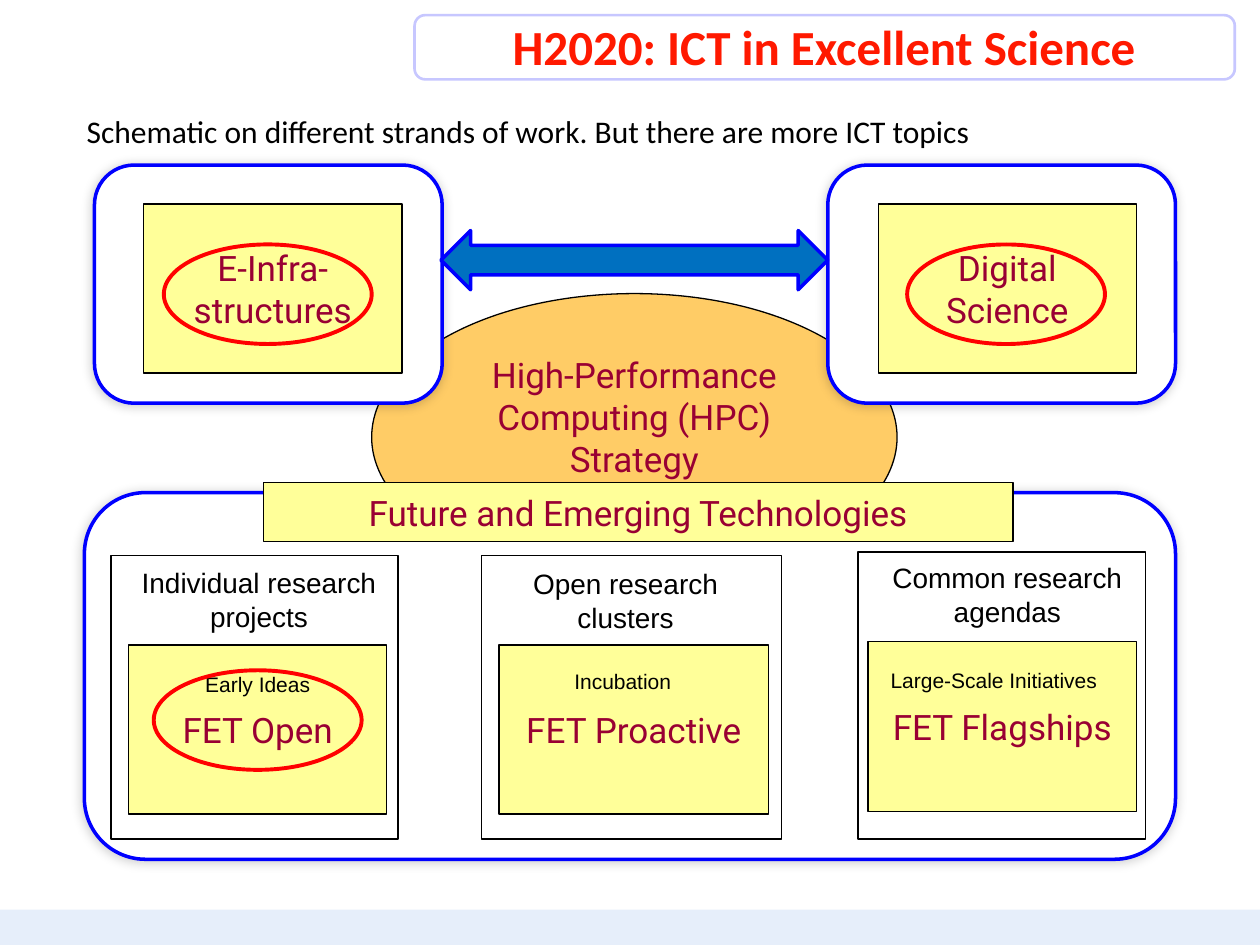
from lxml import etree
from pptx import Presentation
from pptx.dml.color import RGBColor
from pptx.enum.shapes import MSO_SHAPE
from pptx.enum.text import MSO_ANCHOR, PP_ALIGN
from pptx.oxml.ns import qn
from pptx.util import Inches, Pt

RECT = MSO_SHAPE.RECTANGLE
ROUNDED = MSO_SHAPE.ROUNDED_RECTANGLE
OVAL = MSO_SHAPE.OVAL
DOUBLE_ARROW = MSO_SHAPE.LEFT_RIGHT_ARROW
TOP, MIDDLE = MSO_ANCHOR.TOP, MSO_ANCHOR.MIDDLE
LEFT, CENTER = PP_ALIGN.LEFT, PP_ALIGN.CENTER

BLACK, WHITE, BLUE, RED = "000000", "FFFFFF", "0000FF", "FF0000"
YELLOW, MAROON, ACCENT = "FFFF99", "990033", "FF1900"

PANELS = [(0.67, 3.91, 8.66, 2.91), (6.57, 1.31, 2.76, 1.89), (0.75, 1.31, 2.76, 1.89)]
TOPICS = [(1.14, "E-Infra-\nstructures"), (6.97, "Digital\nScience")]
COLUMNS = [
    {"frame": (0.88, 4.41, 2.28, 2.25), "card": (1.02, 5.12, 2.05, 1.34), "name": "FET Open",
     "heading": (0.93, 4.44, 2.25, 0.64), "heading_text": "Individual research\nprojects",
     "stage": (1.53, 5.28, 1.08, 0.3), "stage_text": "Early Ideas"},
    {"frame": (3.82, 4.41, 2.38, 2.25), "card": (3.96, 5.12, 2.14, 1.34), "name": "FET Proactive",
     "heading": (4.13, 4.45, 1.67, 0.64), "heading_text": "Open research\nclusters",
     "stage": (4.46, 5.26, 1.05, 0.3), "stage_text": "Incubation"},
    {"frame": (6.81, 4.38, 2.28, 2.28), "card": (6.89, 5.09, 2.13, 1.35), "name": "FET Flagships",
     "heading": (6.91, 4.4, 2.17, 0.64), "heading_text": "Common research\nagendas",
     "stage": (6.97, 5.25, 1.97, 0.3), "stage_text": "Large-Scale Initiatives"},
]
HIGHLIGHTS = [(1.22, 5.32, 1.65, 0.79), (1.3, 1.94, 1.65, 0.79), (7.2, 1.94, 1.57, 0.79)]


def color(value):
    """Turn a hex string into a colour."""
    return RGBColor.from_string(value)


def write(shape, text, size, font, ink, align=CENTER, anchor=MIDDLE, wrap=False, bold=False):
    """Put formatted text in a shape, one paragraph to a line."""
    frame = shape.text_frame
    frame.text = text
    frame.word_wrap = wrap
    frame.vertical_anchor = anchor
    for para in frame.paragraphs:
        para.alignment = align
        para.font.size = Pt(size)
        for span in para.runs:
            span.font.size = Pt(size)
            span.font.name = font
            span.font.bold = bold
            span.font.color.rgb = color(ink)


def add_shape(page, kind, place, fill=None, line=None, width=0.75):
    """Add a preset shape with an optional fill and outline."""
    shape = page.shapes.add_shape(kind, *map(Inches, place))
    shape.shadow.inherit = False
    if fill:
        shape.fill.solid()
        shape.fill.fore_color.rgb = color(fill)
    else:
        shape.fill.background()
    if line:
        shape.line.color.rgb = color(line)
        shape.line.width = Pt(width)
    else:
        shape.line.fill.background()
    return shape


def add_panel(page, place):
    """Add a white rounded panel with a soft shadow."""
    panel = add_shape(page, ROUNDED, place, WHITE, BLUE, 2)
    effects = panel.element.spPr.find(qn("a:effectLst"))
    shadow = etree.SubElement(effects, qn("a:outerShdw"), blurRad=str(Pt(6)),
                              dist=str(Pt(1)), dir="8100000", rotWithShape="0")
    tint = etree.SubElement(shadow, qn("a:srgbClr"), val=BLACK)
    etree.SubElement(tint, qn("a:alpha"), val="20000")


def add_card(page, place, text):
    """Add a yellow box with a maroon label."""
    card = add_shape(page, RECT, place, YELLOW, BLACK)
    write(card, text, 20, "Roboto", MAROON)


def add_text(page, place, text, size, font, ink, **options):
    """Add a text box."""
    box = page.shapes.add_textbox(*map(Inches, place))
    write(box, text, size, font, ink, **options)
    return box


def add_column(page, column):
    """Add a framed column with its heading, card and stage."""
    add_shape(page, RECT, column["frame"], WHITE, BLACK)
    add_card(page, column["card"], column["name"])
    add_text(page, column["heading"], column["heading_text"], 16, "Arial", BLACK, anchor=TOP)
    add_text(page, column["stage"], column["stage_text"], 12, "Arial", BLACK,
             align=LEFT, anchor=TOP)


def add_bullet_text(page, place, text):
    """Add a body text box with a coloured bullet."""
    box = page.shapes.add_textbox(*map(Inches, place))
    para = box.text_frame.paragraphs[0]
    properties = para._p.get_or_add_pPr()
    properties.set("marL", str(Inches(0.38)))
    properties.set("indent", str(-Inches(0.38)))
    bullet_color = etree.SubElement(properties, qn("a:buClr"))
    etree.SubElement(bullet_color, qn("a:srgbClr"), val=ACCENT)
    etree.SubElement(properties, qn("a:buFont"), typeface="Arial")
    etree.SubElement(properties, qn("a:buChar"), char="•")
    write(box, text, 18, "Calibri", BLACK, align=LEFT, anchor=TOP, wrap=True)


def main():
    """Build the slide and save it."""
    deck = Presentation()
    deck.slide_width, deck.slide_height = Inches(10), Inches(7.5)
    page = deck.slides.add_slide(deck.slide_layouts[6])

    add_shape(page, ROUNDED, (3.29, 0.12, 6.51, 0.51), line="C7C7FF", width=1.5)
    add_shape(page, RECT, (0, 7.22, 10, 0.28), "E6EEFA")
    strategy = add_shape(page, OVAL, (2.95, 2.33, 4.17, 2.28), "FFCC66", BLACK)
    write(strategy, "High-Performance\nComputing (HPC)\nStrategy", 20, "Roboto", MAROON)
    strategy.text_frame.margin_bottom = Inches(0.38)

    for place in PANELS:
        add_panel(page, place)
    for left, label in TOPICS:
        add_card(page, (left, 1.62, 2.05, 1.34), label)
    add_shape(page, DOUBLE_ARROW, (3.5, 1.83, 3.07, 0.47), "0070C0", BLUE, 2)
    for column in COLUMNS:
        add_column(page, column)
    add_card(page, (2.09, 3.83, 5.95, 0.47), "Future and Emerging Technologies")

    add_text(page, (3.27, -0.03, 6.54, 0.79), "H2020: ICT in Excellent Science",
             28, "Calibri", ACCENT, wrap=True, bold=True)
    add_bullet_text(page, (0.59, 0.84, 9.06, 6.46),
                    "Schematic on different strands of work. But there are more ICT topics")
    for place in HIGHLIGHTS:
        add_shape(page, OVAL, place, line=RED, width=2.25)
    deck.save("out.pptx")


if __name__ == "__main__":
    main()
